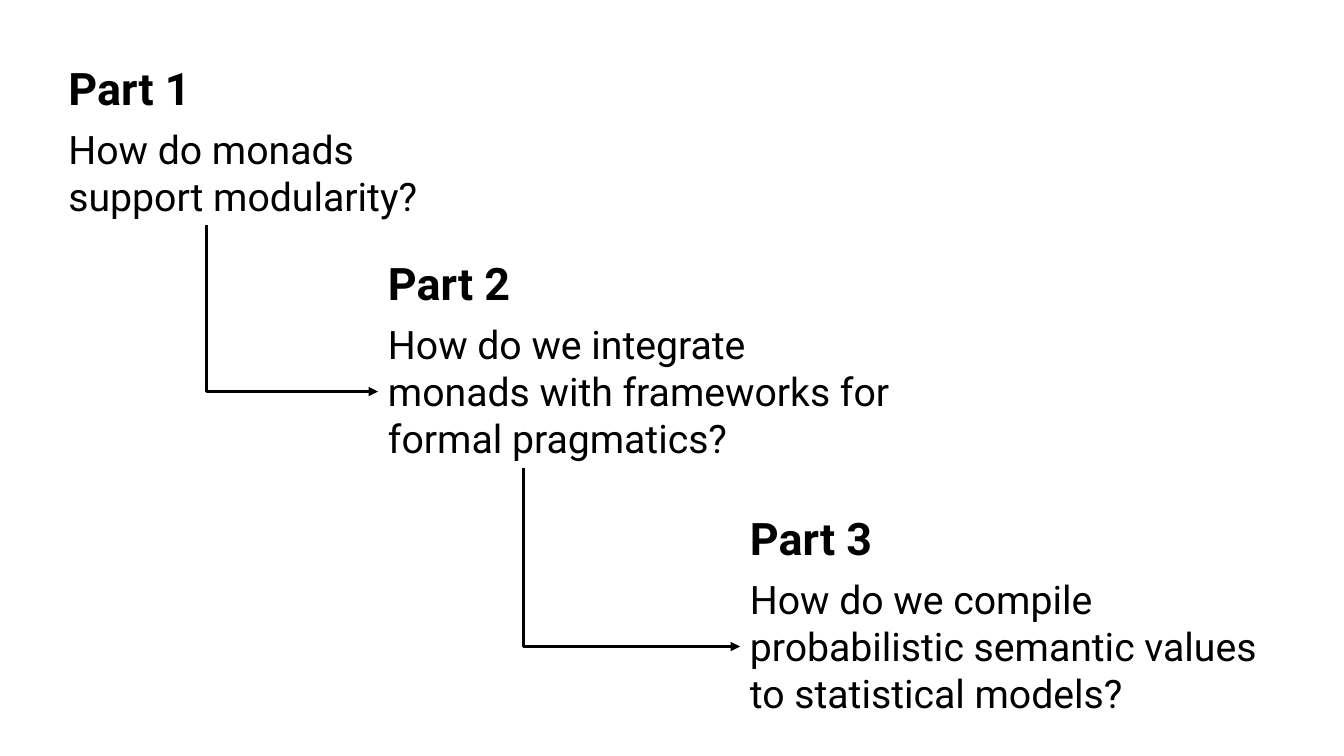
import pptx
import pptx.util
import pptx.dml.color
import pptx.enum.shapes
import pptx.oxml
import pptx.oxml.ns
from lxml import etree

BLACK = pptx.dml.color.RGBColor(0x00, 0x00, 0x00)
FONT = "Roboto"
SLIDE_W = pptx.util.Inches(13.33)
SLIDE_H = pptx.util.Inches(7.5)

# Heights in rows of a 100 by 100 grid
HEADING_H = 8.53

# Heading, question, left, top, width, question height, column of the arrow leaving it
PARTS = [
    ("Part 1", "How do monads support modularity?",
     4.35, 7.33, 29.26, 13.87, 15.4),
    ("Part 2", "How do we integrate monads with frameworks for formal pragmatics?",
     28.13, 33.2, 39, 20.13, 38.95),
    ("Part 3", "How do we compile probabilistic semantic values to statistical models?",
     55.06, 66.93, 39.9, 20.13, None),
]


def col(n):
    return round(SLIDE_W * n / 100)


def row(n):
    return round(SLIDE_H * n / 100)


def add_text(slide, text, left, top, width, height, size, bold=False):
    box = slide.shapes.add_textbox(col(left), row(top), col(width), row(height))
    tf = box.text_frame
    tf.word_wrap = True
    p = tf.paragraphs[0]
    p.text = text
    p.font.name = FONT
    p.font.size = pptx.util.Pt(size)
    p.font.bold = bold
    p.font.color.rgb = BLACK


def add_elbow_arrow(slide, x1, y1, x2, y2):
    line = slide.shapes.add_connector(
        pptx.enum.shapes.MSO_CONNECTOR.ELBOW, col(x1), row(y1), col(x2), row(y2))
    line.line.color.rgb = BLACK
    line.line.width = pptx.util.Pt(2.25)
    qn = pptx.oxml.ns.qn
    sp_pr = line._element.spPr
    # Bend at the very start, so the arrow goes down and then right
    guides = sp_pr.find(qn("a:prstGeom")).get_or_add_avLst()
    etree.SubElement(guides, qn("a:gd"), name="adj1", fmla="val 0")
    etree.SubElement(sp_pr.find(qn("a:ln")), qn("a:tailEnd"), type="triangle")
    etree.SubElement(sp_pr, qn("a:effectLst"))


def main():
    prs = pptx.Presentation()
    prs.slide_width, prs.slide_height = SLIDE_W, SLIDE_H
    slide = prs.slides.add_slide(prs.slide_layouts[6])

    arrow_start = None
    for heading, question, left, top, width, height, stem in PARTS:
        # Heading with its question directly below
        question_top = top + HEADING_H
        add_text(slide, heading, left, top, width, HEADING_H, 32, bold=True)
        add_text(slide, question, left, question_top, width, height, 28)

        # Arrow from the previous question to the middle of this one
        if arrow_start:
            add_elbow_arrow(slide, *arrow_start, left, question_top + height / 2)
        arrow_start = (stem, question_top + height)

    prs.save("out.pptx")


if __name__ == "__main__":
    main()
